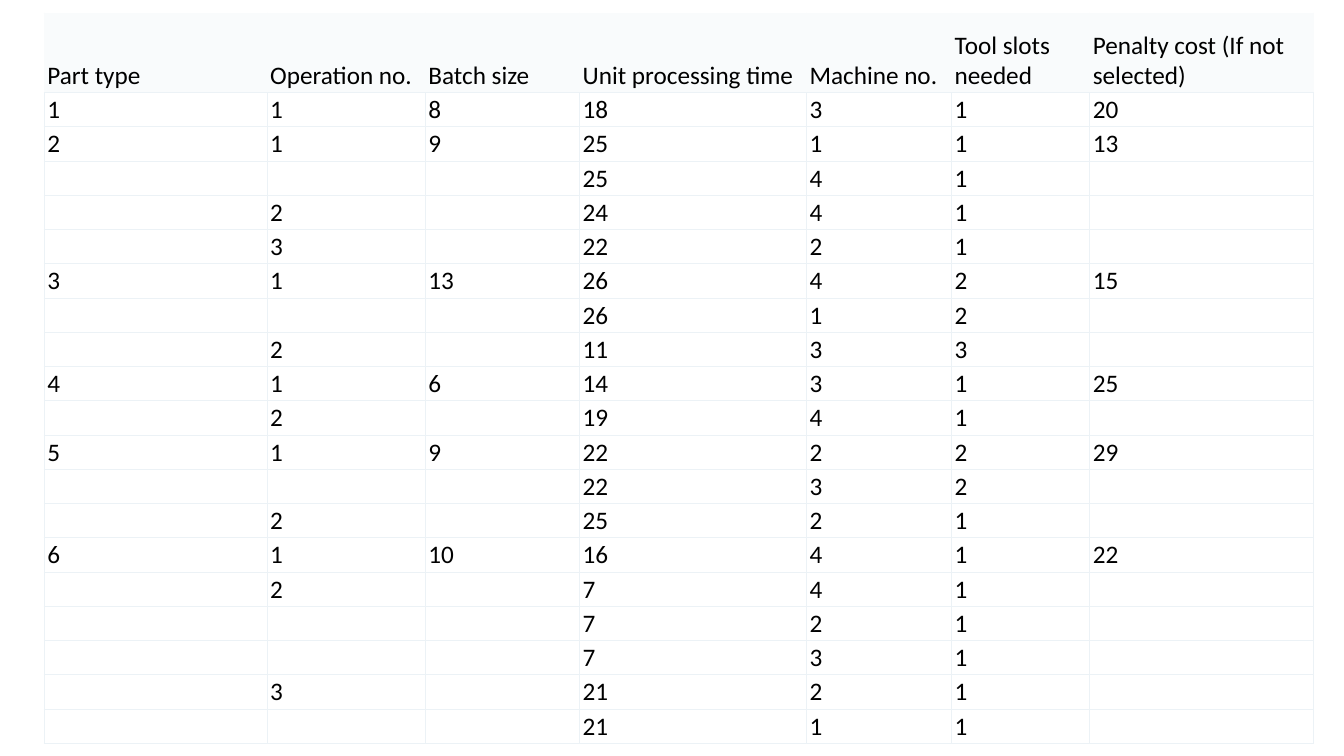
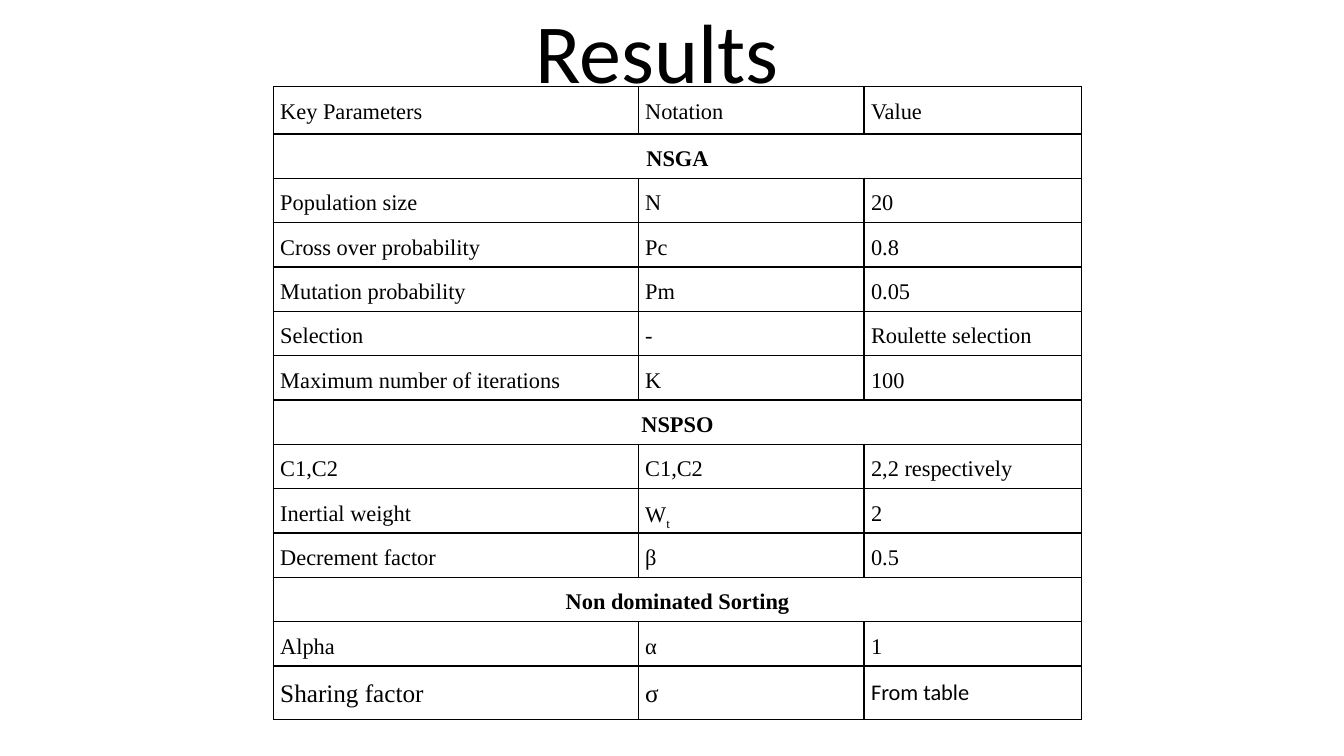
from lxml import etree
from pptx import Presentation
from pptx import util as u
from pptx.dml import color
from pptx.enum import text
from pptx.oxml import ns

C = {"text": "000000", "paper": "FFFFFF", "header": "F9FBFC", "grid": "ECF2F6", "rule": "000000"}
SANS, SERIF = "Calibri", "Times New Roman"
ALIGN = text.PP_ALIGN

prs = Presentation()
prs.slide_width, prs.slide_height = u.Inches(13.33), u.Inches(7.5)


def write(tf, txt, size=18, font=SANS, bold=False, align=ALIGN.LEFT, spacing=None, sub=""):
    p = tf.paragraphs[0]
    p.alignment = align
    p.line_spacing = spacing
    for part in filter(None, (txt, sub)):
        r = p.add_run()
        r.text = part
        r.font.size, r.font.name, r.font.bold = u.Pt(size), font, bold
        r.font.color.rgb = color.RGBColor.from_string(C["text"])
    if sub:
        r._r.get_or_add_rPr().set("baseline", "-25000")


def style_cell(cell, borders, width, margins, fill=None):
    tcPr = cell._tc.get_or_add_tcPr()
    for side, rgb in zip("LRTB", borders):
        ln = etree.SubElement(tcPr, ns.qn(f"a:ln{side}"), w=str(u.Pt(width)))
        solid = etree.SubElement(ln, ns.qn("a:solidFill"))
        etree.SubElement(solid, ns.qn("a:srgbClr"), val=rgb)
    cell.margin_left, cell.margin_right, cell.margin_top, cell.margin_bottom = map(u.Inches, margins)
    if fill:
        cell.fill.solid()
        cell.fill.fore_color.rgb = color.RGBColor.from_string(fill)
    else:
        cell.fill.background()


parts = [
    ("Part type", "Operation no.", "Batch size", "Unit processing time", "Machine no.",
     "Tool slots needed", "Penalty cost (If not selected)"),
    (1, 1, 8, 18, 3, 1, 20),
    (2, 1, 9, 25, 1, 1, 13),
    ("", "", "", 25, 4, 1, ""),
    ("", 2, "", 24, 4, 1, ""),
    ("", 3, "", 22, 2, 1, ""),
    (3, 1, 13, 26, 4, 2, 15),
    ("", "", "", 26, 1, 2, ""),
    ("", 2, "", 11, 3, 3, ""),
    (4, 1, 6, 14, 3, 1, 25),
    ("", 2, "", 19, 4, 1, ""),
    (5, 1, 9, 22, 2, 2, 29),
    ("", "", "", 22, 3, 2, ""),
    ("", 2, "", 25, 2, 1, ""),
    (6, 1, 10, 16, 4, 1, 22),
    ("", 2, "", 7, 4, 1, ""),
    ("", "", "", 7, 2, 1, ""),
    ("", "", "", 7, 3, 1, ""),
    ("", 3, "", 21, 2, 1, ""),
    ("", "", "", 21, 1, 1, ""),
]
parameters = [
    ("Key Parameters", "Notation", "Value"),
    ("NSGA",),
    ("Population size", "N", "20"),
    ("Cross over probability", "Pc", "0.8"),
    ("Mutation probability", "Pm", "0.05"),
    ("Selection", "-", "Roulette selection"),
    ("Maximum number of iterations", "K", "100"),
    ("NSPSO",),
    ("C1,C2", "C1,C2", "2,2 respectively"),
    ("Inertial weight", "W", "2"),
    ("Decrement factor", "β", "0.5"),
    ("Non dominated Sorting",),
    ("Alpha", "α", "1"),
    ("Sharing factor", "σ", "From table"),
]

parts_slide = prs.slides.add_slide(prs.slide_layouts[6])
results_slide = prs.slides.add_slide(prs.slide_layouts[5])

title = results_slide.shapes.title
title.left, title.top, title.width, title.height = map(u.Inches, (0.77, -0.17, 11.5, 1.45))
title.text_frame.vertical_anchor = text.MSO_ANCHOR.MIDDLE
write(title.text_frame, "Results", size=60, align=ALIGN.CENTER, spacing=0.9)

tables = []
for s, rows, left, top, widths, heights in (
    (parts_slide, parts, 0.44, 0.13, [2.21, 1.57, 1.53, 2.25, 1.44, 1.37, 2.22], [0.79] + [0.34] * 19),
    (results_slide, parameters, 2.71, 0.86, [3.62, 2.24, 2.16], [0.47] + [0.44] * 12 + [0.53]),
):
    box = map(u.Inches, (left, top, sum(widths), sum(heights)))
    table = s.shapes.add_table(len(rows), len(widths), *box).table
    table.first_row = table.horz_banding = False
    for column, width in zip(table.columns, widths):
        column.width = u.Inches(width)
    for row, height in zip(table.rows, heights):
        row.height = u.Inches(height)
    tables.append(table)
parts_table, results_table = tables

for i, values in enumerate(parts):
    for j, value in enumerate(values):
        cell = parts_table.cell(i, j)
        borders = [C["grid"] if i else C["header"]] * 3 + [C["grid"]]
        style_cell(cell, borders, 0.75, (0.03, 0.03, 0.02, 0.01), C["paper"] if i else C["header"])
        cell.vertical_anchor = text.MSO_ANCHOR.TOP if i else text.MSO_ANCHOR.BOTTOM
        write(cell.text_frame, str(value))

for i, values in enumerate(parameters):
    section = len(values) == 1
    for j in range(3):
        style_cell(results_table.cell(i, j), [C["rule"]] * 4, 1, (0.07, 0.07, 0, 0))
    if section:
        results_table.cell(i, 0).merge(results_table.cell(i, 2))
    for j, value in enumerate(values):
        write(results_table.cell(i, j).text_frame, value,
              size=18 if value in ("Sharing factor", "σ") else 16,
              font=SANS if value == "From table" else SERIF,
              bold=section, align=ALIGN.CENTER if section else ALIGN.JUSTIFY,
              spacing=1.5, sub="t" if value == "W" else "")

prs.save("out.pptx")
